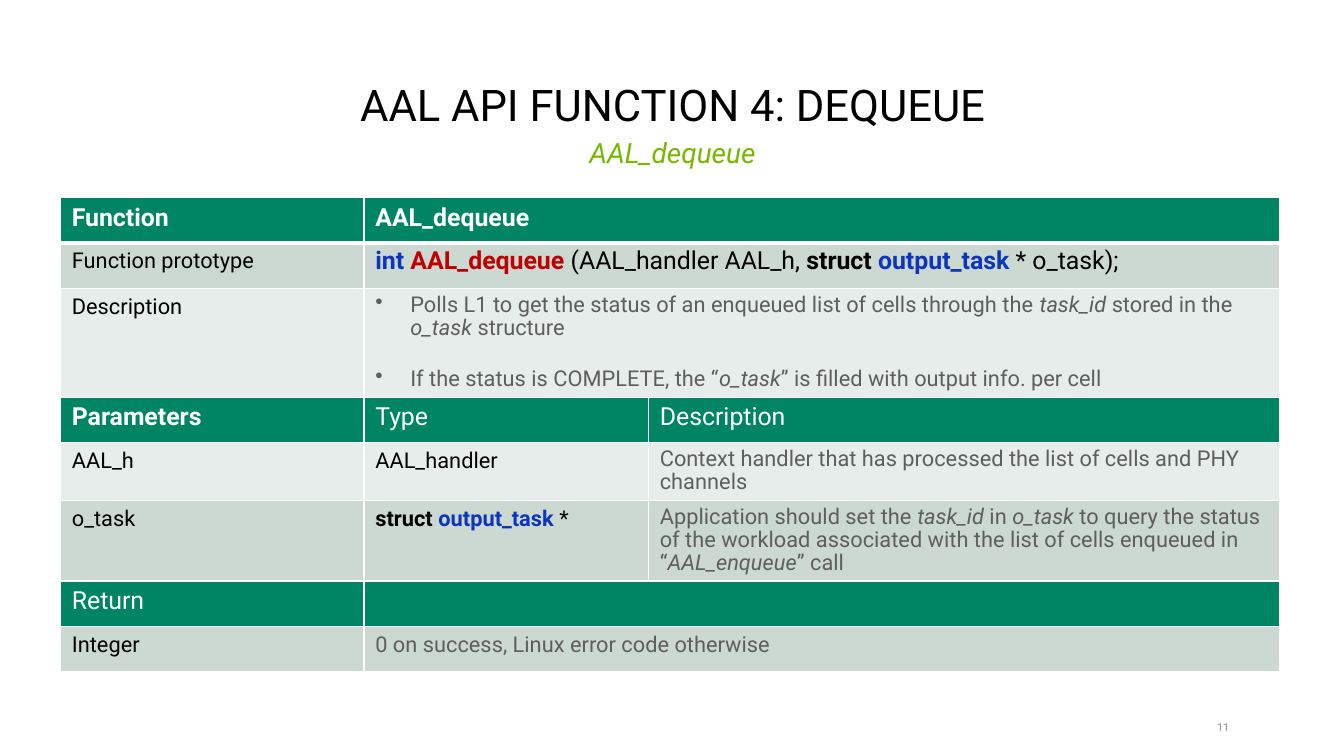
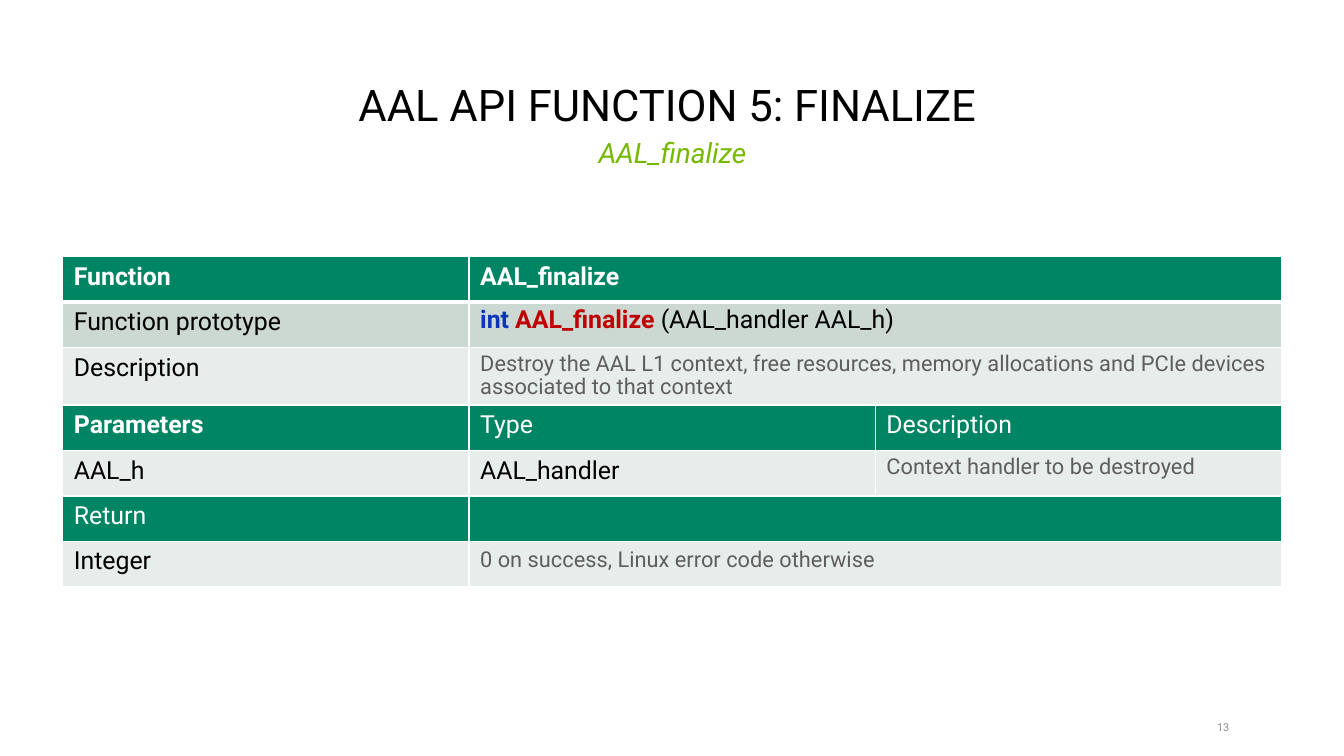
from dataclasses import dataclass

from lxml.etree import SubElement
from pptx import Presentation
from pptx.dml.color import RGBColor
from pptx.enum.text import MSO_ANCHOR as Anchor, MSO_AUTO_SIZE as AutoSize, PP_ALIGN as Align
from pptx.oxml.ns import qn
from pptx.util import Pt

# Shared look
WHITE = RGBColor(0xFF, 0xFF, 0xFF)
BLACK = RGBColor(0, 0, 0)
GREEN = RGBColor(0x00, 0x85, 0x64)
LIME = RGBColor(0x76, 0xB9, 0x00)
BAND_DARK = RGBColor(0xCC, 0xD9, 0xD3)
BAND_LIGHT = RGBColor(0xE7, 0xED, 0xEA)
KEYWORD_BLUE = RGBColor(0x0C, 0x34, 0xBD)
NAME_RED = RGBColor(0xC0, 0x00, 0x00)
NOTE_GREY = RGBColor(0x5E, 0x5E, 0x5E)
PAGE_GREY = RGBColor(0x8C, 0x8C, 0x8C)
FONT = "Roboto"
PAGE_SPACE_FONT = "TeX Gyre Adventor"
SECTION_LAYOUT = 2

# Boxes in points: left, top, width, height
TITLE_BOX = (39.6, 41, 785.5, 46.8)
SUBTITLE_BOX = (39.6, 85.7, 785.5, 41)
PAGE_BOX = (767.5, 461.5, 25.2, 10.8)
ROW_HEIGHT = 29.2


@dataclass
class Line:
    """One paragraph of a table cell; runs are (text, font settings)."""
    runs: list
    size: float = 14
    color: RGBColor = BLACK
    bold: bool = False
    tight: bool = False
    bullet: bool = False


def label(text, size=14):
    return [Line([(text, {})], size)]


def heading(text, bold=False):
    return [Line([(text, {})] if text else [], 16, WHITE, bold)]


def note(*texts, tight=True, bullet=False):
    """Grey lines in which |bars| enclose italics."""
    return [Line([(part, {"italic": True} if i % 2 else {})
                  for i, part in enumerate(text.split("|")) if part],
                 color=NOTE_GREY, tight=tight, bullet=bullet) for text in texts]


def keyword(text, color=KEYWORD_BLUE):
    return text, {"bold": True, "color": color}


def prototype(name, *arguments):
    return [Line([keyword("int "), keyword(name + " ", NAME_RED), *arguments], 16, tight=True)]


def set_font(font, size=None, color=None, bold=None, italic=None, name=None):
    if name:
        font.name = name
    if size:
        font.size = Pt(size)
    if color is not None:
        font.color.rgb = color
    if bold is not None:
        font.bold = bold
    if italic is not None:
        font.italic = italic


def place(shape, box):
    shape.left, shape.top, shape.width, shape.height = map(Pt, box)


# Title and subtitle
def fill_heading(placeholder, box, text, anchor, **font):
    place(placeholder, box)
    frame = placeholder.text_frame
    frame.auto_size = AutoSize.NONE
    frame.vertical_anchor = anchor
    frame.text = text
    paragraph = frame.paragraphs[0]
    paragraph.alignment = Align.CENTER
    paragraph.line_spacing = 0.9
    paragraph.space_before = Pt(0)
    set_font(paragraph.font, name=FONT, bold=False, **font)


# Page number
def add_page_number(slide, box, number):
    page = slide.shapes.add_textbox(*map(Pt, box))
    frame = page.text_frame
    frame.word_wrap = True
    frame.vertical_anchor = Anchor.MIDDLE
    frame.margin_left = frame.margin_right = frame.margin_top = frame.margin_bottom = 0
    paragraph = frame.paragraphs[0]
    paragraph.alignment = Align.RIGHT
    for text, size, name in ((str(number), 7, FONT), (" ", 9, PAGE_SPACE_FONT)):
        run = paragraph.add_run()
        run.text = text
        set_font(run.font, size, PAGE_GREY, name=name)


# Table parts
def add_bullet(paragraph):
    properties = paragraph._p.get_or_add_pPr()
    properties.set("marL", str(Pt(22.5)))
    properties.set("indent", str(-Pt(22.5)))
    SubElement(properties, qn("a:buChar"), char="•")


def write_lines(cell, lines):
    frame = cell.text_frame
    for i, line in enumerate(lines):
        paragraph = frame.add_paragraph() if i else frame.paragraphs[0]
        if line.tight:
            paragraph.line_spacing = 0.9
            paragraph.space_after = Pt(9)
            if i:
                paragraph.space_before = Pt(9)
        if line.bullet:
            add_bullet(paragraph)
        set_font(paragraph.font, line.size, line.color, line.bold, name=FONT)
        for text, settings in line.runs:
            run = paragraph.add_run()
            run.text = text
            set_font(run.font, **settings)


def add_borders(cell, top=1, bottom=1):
    properties = cell._tc.get_or_add_tcPr()
    for side, width in (("L", 1), ("R", 1), ("T", top), ("B", bottom)):
        border = SubElement(properties, qn(f"a:ln{side}"), w=str(Pt(width)))
        color = SubElement(border, qn("a:solidFill"))
        SubElement(color, qn("a:srgbClr"), val=str(WHITE))


def add_function_table(slide, left, top, widths, rows):
    """Rows of two cells span the last two columns; white text marks a header row."""
    table = slide.shapes.add_table(len(rows), len(widths), Pt(left), Pt(top),
                                   Pt(sum(widths)), Pt(ROW_HEIGHT * len(rows))).table
    table.first_row = table.horz_banding = False
    for column, width in zip(table.columns, widths):
        column.width = Pt(width)
    for r, contents in enumerate(rows):
        table.rows[r].height = Pt(ROW_HEIGHT)
        is_header = contents[0][0].color == WHITE
        band = GREEN if is_header else BAND_DARK if r % 2 else BAND_LIGHT
        for c in range(len(widths)):
            cell = table.cell(r, c)
            add_borders(cell, top=3 if r == 1 else 1, bottom=3 if r == 0 else 1)
            cell.fill.solid()
            cell.fill.fore_color.rgb = band
        if len(contents) == 2:
            table.cell(r, 1).merge(table.cell(r, 2))
        for c, lines in enumerate(contents):
            write_lines(table.cell(r, c), lines)


def function_rows(name, signature, description, parameters, label_size):
    return [
        [heading("Function", True), heading(name, True)],
        [label("Function prototype", label_size), signature],
        [label("Description", label_size), description],
        [heading("Parameters", True), heading("Type"), heading("Description")],
        *parameters,
        [heading("Return"), heading("")],
        [label("Integer", label_size),
         note("0 on success, Linux error code otherwise", tight=False)],
    ]


def add_function_slide(deck, title, name, page, left, top, widths, **content):
    slide = deck.slides.add_slide(deck.slide_layouts[SECTION_LAYOUT])
    fill_heading(slide.shapes.title, TITLE_BOX, title, Anchor.BOTTOM, size=28, color=BLACK)
    fill_heading(slide.placeholders[1], SUBTITLE_BOX, name, Anchor.TOP,
                 size=18, color=LIME, italic=True)
    add_function_table(slide, left, top, widths, function_rows(name, **content))
    add_page_number(slide, PAGE_BOX, page)


def main():
    deck = Presentation()
    deck.slide_width, deck.slide_height = Pt(864), Pt(486)

    # Dequeue
    add_function_slide(
        deck, "AAL API FUNCTION 4: DEQUEUE", "AAL_dequeue", 11,
        left=39, top=127, widths=(195.1, 182.9, 405.4), label_size=14,
        signature=prototype("AAL_dequeue", ("(AAL_handler AAL_h, ", {}),
                            keyword("struct ", BLACK), keyword("output_task"),
                            (" * o_task);", {})),
        description=note(
            "Polls L1 to get the status of an enqueued list of cells through the "
            "|task_id |stored in the |o_task| structure",
            "If the status is COMPLETE, the “|o_task|” is filled with output info. per cell",
            bullet=True),
        parameters=[
            [label("AAL_h"), label("AAL_handler"),
             note("Context handler that has processed the list of cells and PHY channels")],
            [label("o_task"),
             [Line([keyword("struct ", BLACK), keyword("output_task "), ("*", {})])],
             note("Application should set the |task_id |in |o_task |to query the status of the "
                  "workload associated with the list of cells enqueued in “|AAL_enqueue|” call")],
        ])

    # Finalize
    add_function_slide(
        deck, "AAL API FUNCTION 5: FINALIZE ", "AAL_finalize", 13,
        left=40.3, top=165, widths=(261.2,) * 3, label_size=16,
        signature=prototype("AAL_finalize", ("(AAL_handler AAL_h)", {})),
        description=note("Destroy the AAL L1 context, free resources, memory allocations "
                         "and PCIe devices associated to that context"),
        parameters=[[label("AAL_h", 16), label("AAL_handler", 16),
                     note("Context handler to be destroyed")]])

    deck.save("out.pptx")


if __name__ == "__main__":
    main()
